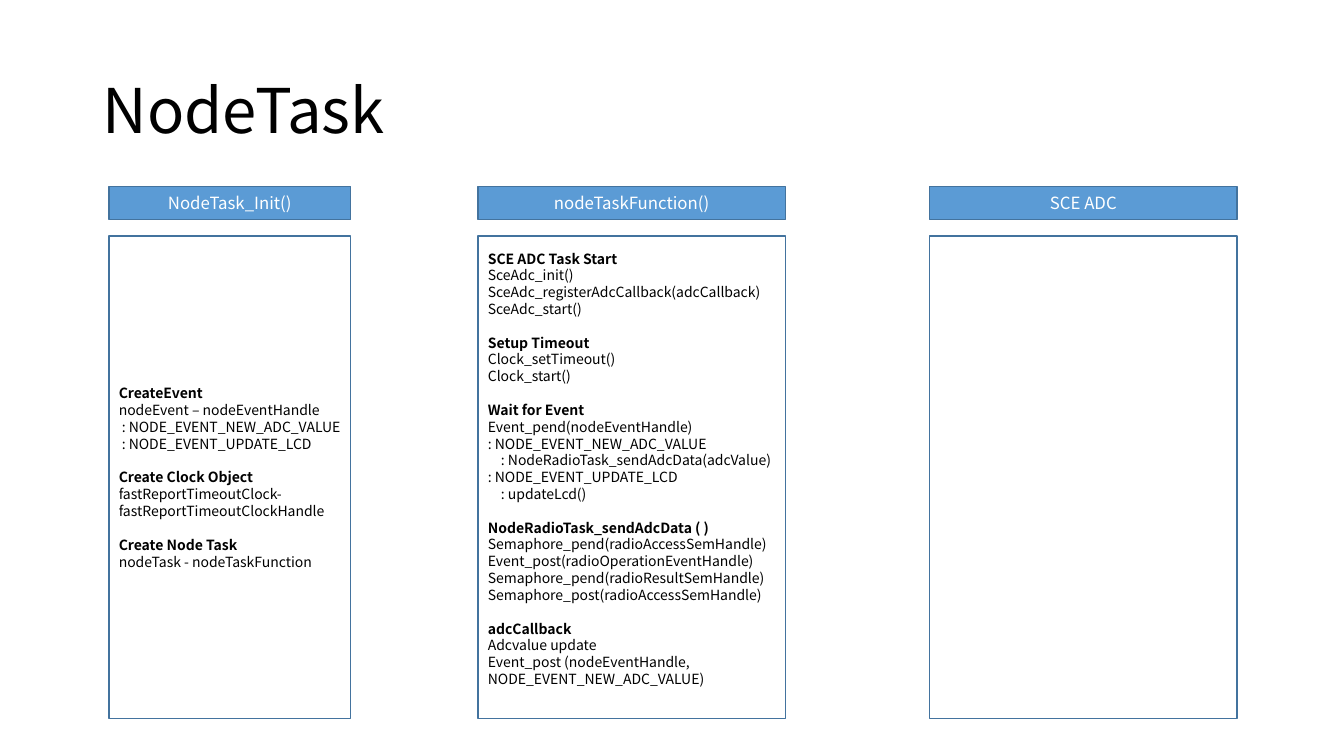
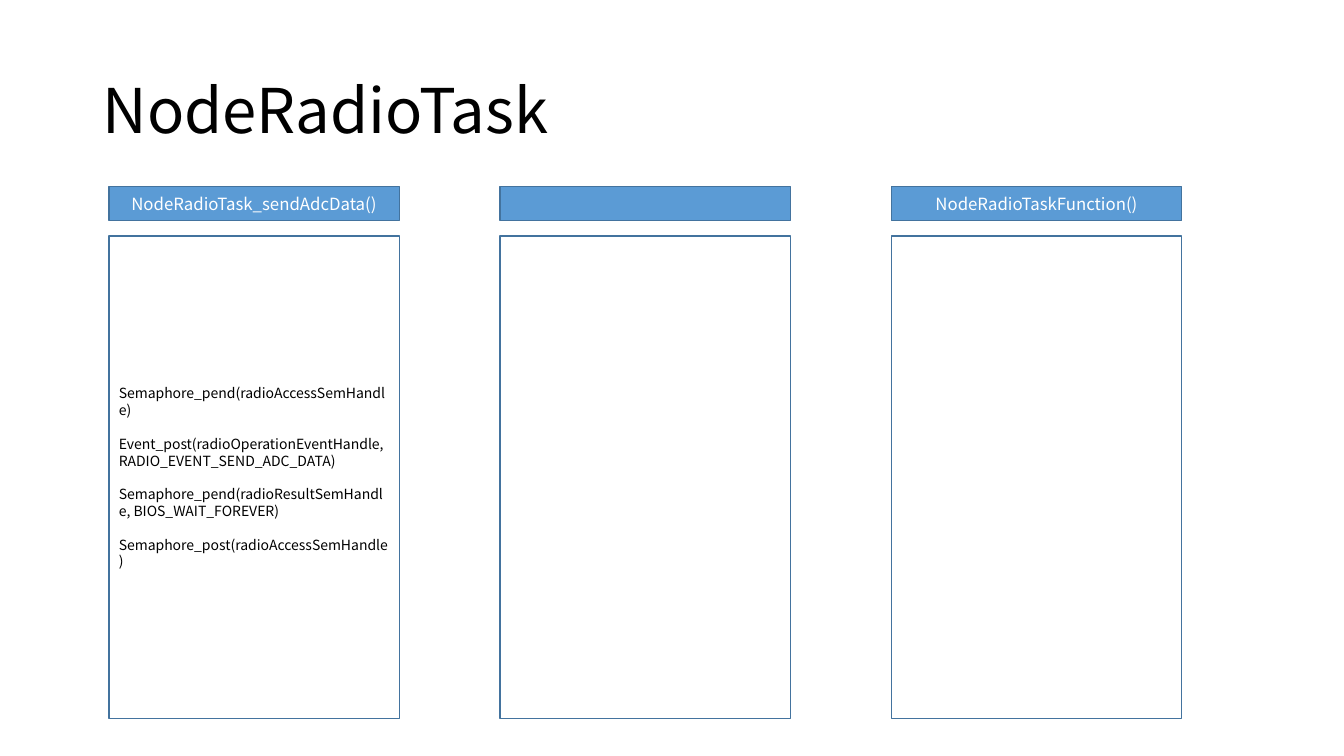
from dataclasses import dataclass

from pptx import Presentation
from pptx.dml.color import RGBColor
from pptx.enum.shapes import MSO_SHAPE
from pptx.enum.text import MSO_ANCHOR, PP_ALIGN
from pptx.util import Inches, Pt


@dataclass(frozen=True)
class Theme:
    """Colours, font and type sizes shared by the slides."""
    font: str = "Noto Sans CJK KR"
    band: RGBColor = RGBColor(0x5B, 0x9B, 0xD5)
    line: RGBColor = RGBColor(0x43, 0x73, 0x9E)
    dark: RGBColor = RGBColor(0, 0, 0)
    light: RGBColor = RGBColor(255, 255, 255)
    title: Pt = Pt(44)
    heading: Pt = Pt(12)
    body: Pt = Pt(10)
    group_gap: Pt = Pt(12)


theme = Theme()
TOP, BODY_TOP, BODY_HEIGHT = 1.85, 2.34, 4.79
INDENTS = {">": 0.03, ">>": 0.13}  # inches, by line marker

# A column is (left, width, heading, groups); a group is (bold label, lines).
init_groups = [
    ("CreateEvent", ["nodeEvent – nodeEventHandle",
                     "> : NODE_EVENT_NEW_ADC_VALUE",
                     "> : NODE_EVENT_UPDATE_LCD"]),
    ("Create Clock Object", ["fastReportTimeoutClock-",
                             "fastReportTimeoutClockHandle"]),
    ("Create Node Task", ["nodeTask - nodeTaskFunction"]),
]
function_groups = [
    ("SCE ADC Task Start", ["SceAdc_init()",
                            "SceAdc_registerAdcCallback(adcCallback)",
                            "SceAdc_start()"]),
    ("Setup Timeout", ["Clock_setTimeout()", "Clock_start()"]),
    ("Wait for Event", ["Event_pend(nodeEventHandle)",
                        ": NODE_EVENT_NEW_ADC_VALUE",
                        ">> : NodeRadioTask_sendAdcData(adcValue)",
                        ": NODE_EVENT_UPDATE_LCD",
                        ">> : updateLcd()"]),
    ("NodeRadioTask_sendAdcData ( )", ["Semaphore_pend(radioAccessSemHandle)",
                                       "Event_post(radioOperationEventHandle)",
                                       "Semaphore_pend(radioResultSemHandle)",
                                       "Semaphore_post(radioAccessSemHandle)"]),
    ("adcCallback", ["Adcvalue update",
                     "Event_post (nodeEventHandle, NODE_EVENT_NEW_ADC_VALUE)"]),
]
send_groups = [
    ("", ["Semaphore_pend(radioAccessSemHandle)"]),
    ("", ["Event_post(radioOperationEventHandle, RADIO_EVENT_SEND_ADC_DATA)"]),
    ("", ["Semaphore_pend(radioResultSemHandle, BIOS_WAIT_FOREVER)"]),
    ("", ["Semaphore_post(radioAccessSemHandle)"]),
]
radio_headings = ["NodeRadioTask_sendAdcData()", "", "NodeRadioTaskFunction()"]
radio_groups = [send_groups, [], []]

# A slide is (title, heading height, bottom inset of the bodies, columns).
slides = [
    ("NodeTask", 0.33, 0.22, [
        (1.08, 2.4, "NodeTask_Init()", init_groups),
        (4.74, 3.05, "nodeTaskFunction()", function_groups),
        (9.22, 3.05, "SCE ADC", []),
    ]),
    ("NodeRadioTask", 0.34, 0.05, [
        (1.08 + 3.88 * i, 2.88, heading, groups)
        for i, (heading, groups) in enumerate(zip(radio_headings, radio_groups))
    ]),
]


def add_box(s, left, top, width, height, fill=None):
    """Add an outlined rectangle, filled or open, and return its text frame."""
    sp = s.shapes.add_shape(MSO_SHAPE.RECTANGLE, Inches(left), Inches(top),
                            Inches(width), Inches(height))
    sp.shadow.inherit = False
    if fill is None:
        sp.fill.background()
    else:
        sp.fill.solid()
        sp.fill.fore_color.rgb = fill
    sp.line.color.rgb = theme.line
    sp.line.width = Pt(1)
    tf = sp.text_frame
    tf.word_wrap = True
    tf.vertical_anchor = MSO_ANCHOR.MIDDLE
    return tf


def write(p, text, size, color, align=PP_ALIGN.LEFT, bold=False):
    """Set the text and type of one paragraph."""
    p.text = text
    p.alignment = align
    p.font.name = theme.font
    p.font.size = size
    p.font.color.rgb = color
    p.font.bold = bold


prs = Presentation()
prs.slide_width, prs.slide_height = Inches(13.33), Inches(7.5)

for title, heading_height, bottom_inset, columns in slides:
    s = prs.slides.add_slide(prs.slide_layouts[6])
    tf = s.shapes.add_textbox(Inches(0.92), Inches(0.4),
                              Inches(11.5), Inches(1.45)).text_frame
    tf.word_wrap = True
    tf.vertical_anchor = MSO_ANCHOR.MIDDLE
    write(tf.paragraphs[0], title, theme.title, theme.dark)
    tf.paragraphs[0].line_spacing = 0.9

    for left, width, heading, groups in columns:
        tf = add_box(s, left, TOP, width, heading_height, theme.band)
        if heading:
            write(tf.paragraphs[0], heading, theme.heading, theme.light,
                  PP_ALIGN.CENTER)

        tf = add_box(s, left, BODY_TOP, width, BODY_HEIGHT)
        if groups is function_groups:
            tf.margin_bottom = Inches(bottom_inset)
        p = tf.paragraphs[0]
        for g, (label, lines) in enumerate(groups):
            rows = [label] * bool(label) + lines
            for i, row in enumerate(rows):
                if g or i:
                    p = tf.add_paragraph()
                marker, _, rest = row.partition(" ")
                indent = INDENTS.get(marker, 0)
                write(p, rest if indent else row, theme.body, theme.dark,
                      bold=bool(label) and i == 0)
                if indent:
                    p._p.get_or_add_pPr().set("marL", str(Inches(indent)))
                if g and i == 0:
                    p.space_before = theme.group_gap

prs.save("out.pptx")
